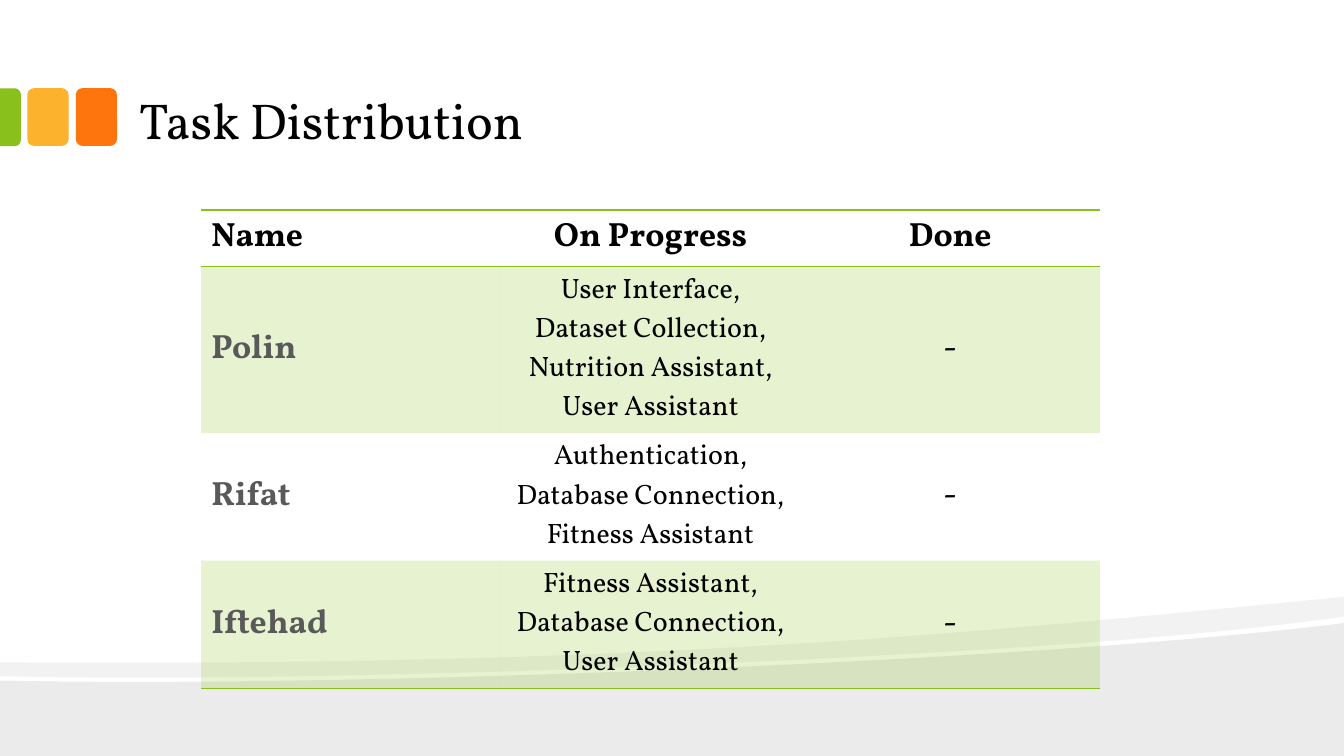
from typing import NamedTuple

import pptx
import pptx.dml.color
import pptx.enum.shapes
import pptx.enum.text
import pptx.oxml
import pptx.oxml.ns
import pptx.util
from lxml import etree

Cm, Pt = pptx.util.Cm, pptx.util.Pt
RGBColor = pptx.dml.color.RGBColor
MSO_SHAPE = pptx.enum.shapes.MSO_SHAPE
PP_ALIGN = pptx.enum.text.PP_ALIGN
MSO_ANCHOR = pptx.enum.text.MSO_ANCHOR
qn = pptx.oxml.ns.qn

FONT = "Vollkorn"
BLACK = RGBColor(0x00, 0x00, 0x00)
GRAY = RGBColor(0x59, 0x59, 0x59)
GREEN = RGBColor(0x89, 0xC0, 0x1C)
YELLOW = RGBColor(0xFC, 0xB2, 0x2C)
ORANGE = RGBColor(0xFE, 0x75, 0x0E)
NO_GRID_STYLE = "{2D5ABB26-0587-4C30-8999-92F81FD0307C}"

Point = tuple[float, float]


class Wave(NamedTuple):
    start: Point
    segments: list[list[Point]]  # one point for a line, three for a Bezier curve
    opacity: int


class Tile(NamedTuple):
    kind: int
    left: float
    top: float
    width: float
    height: float
    color: RGBColor
    rotation: int = 0


class Member(NamedTuple):
    name: str
    in_progress: list[str]
    done: str
    height: float


WAVES = [
    Wave((33.87, 15.7),
         [[(33.87, 19.05)], [(0, 19.05)], [(0, 17.15)],
          [(8.94, 17.35), (26.47, 16.64), (33.87, 15.7)]], 8),
    Wave((33.87, 15.04),
         [[(33.87, 15.54)],
          [(31.88, 15.82), (29.18, 16.08), (26.14, 16.28)],
          [(17.73, 16.84), (6.55, 17.2), (0, 17.04)],
          [(0, 16.69)],
          [(16.56, 16.81), (24.66, 15.93), (33.87, 15.04)]], 5),
]
TILES = [
    Tile(MSO_SHAPE.ROUNDED_RECTANGLE, 1.91, 2.22, 1.04, 1.46, ORANGE),
    Tile(MSO_SHAPE.ROUNDED_RECTANGLE, 0.69, 2.22, 1.04, 1.46, YELLOW),
    Tile(MSO_SHAPE.ROUND_2_SAME_RECTANGLE, -0.47, 2.69, 1.46, 0.53, GREEN, 90),
]
HEADINGS = ["Name", "On Progress", "Done"]
HEADING_HEIGHT = 1.42
MEMBERS = [
    Member("Polin", ["User Interface,", "Dataset Collection,",
                     "Nutrition Assistant,", "User Assistant"], "-", 4.2),
    Member("Rifat", ["Authentication,", "Database Connection,", "Fitness Assistant"], "-", 3.22),
    Member("Iftehad", ["Fitness Assistant,", "Database Connection,", "User Assistant"], "-", 3.22),
]


def fill_solid(fill, color: RGBColor, opacity: int = 100) -> None:
    fill.solid()
    fill.fore_color.rgb = color
    if opacity < 100:
        clr = fill._xPr.find(qn("a:solidFill"))[0]
        etree.SubElement(clr, qn("a:alpha"), val=str(opacity * 1000))


def write(tf, text: str, *, size: float, color: RGBColor = BLACK, bold: bool = False,
          align: PP_ALIGN = PP_ALIGN.LEFT) -> None:
    for i, line in enumerate(text.split("\n")):
        p = tf.paragraphs[0] if i == 0 else tf.add_paragraph()
        p.alignment = align
        r = p.add_run()
        r.text = line
        r.font.name, r.font.size, r.font.bold = FONT, Pt(size), bold
        r.font.color.rgb = color


def draw_wave(s, wave: Wave) -> None:
    x, y = wave.start
    builder = s.shapes.build_freeform(Cm(x), Cm(y))
    builder.add_line_segments([(Cm(x), Cm(y)) for seg in wave.segments for x, y in seg])
    sp = builder.convert_to_shape()

    # Join each three points of a curve into one Bezier segment
    lines = iter(list(sp._element.iter(qn("a:lnTo"))))
    for seg in wave.segments:
        parts = [next(lines) for _ in seg]
        if len(parts) == 3:
            bezier = etree.Element(qn("a:cubicBezTo"))
            parts[0].addprevious(bezier)
            for part in parts:
                bezier.append(part[0])
                part.getparent().remove(part)

    sp.shadow.inherit = False
    sp.line.fill.background()
    fill_solid(sp.fill, BLACK, wave.opacity)


def draw_tile(s, tile: Tile) -> None:
    sp = s.shapes.add_shape(tile.kind, Cm(tile.left), Cm(tile.top), Cm(tile.width), Cm(tile.height))
    sp.rotation = tile.rotation
    if tile.rotation:
        sp.adjustments[0] = 0.29
    sp.shadow.inherit = False
    sp.line.fill.background()
    fill_solid(sp.fill, tile.color)


def set_borders(cell, ruled: str) -> None:
    """Rule the sides named in ruled (letters of LRTB) and clear the others."""
    tcPr = cell._tc.get_or_add_tcPr()
    for i, side in enumerate("LRTB"):
        ln = etree.Element(qn(f"a:ln{side}"), w=str(Pt(1)))
        if side in ruled:
            solid = etree.SubElement(ln, qn("a:solidFill"))
            etree.SubElement(solid, qn("a:srgbClr"), val=str(GREEN))
        else:
            etree.SubElement(ln, qn("a:noFill"))
        tcPr.insert(i, ln)


def draw_table(s) -> None:
    rows = len(MEMBERS) + 1
    heights = [HEADING_HEIGHT] + [m.height for m in MEMBERS]
    texts = [HEADINGS] + [[m.name, "\n".join(m.in_progress), m.done] for m in MEMBERS]
    table = s.shapes.add_table(rows, len(HEADINGS), Cm(5.07), Cm(5.29),
                               Cm(22.65), Cm(sum(heights))).table
    table.first_row = table.horz_banding = False
    table._tbl.tblPr.find(qn("a:tableStyleId")).text = NO_GRID_STYLE
    for column in table.columns:
        column.width = Cm(7.55)
    for i, (height, line) in enumerate(zip(heights, texts)):
        table.rows[i].height = Cm(height)
        for j, text in enumerate(line):
            cell = table.cell(i, j)
            cell.vertical_anchor = MSO_ANCHOR.MIDDLE
            if i % 2:
                fill_solid(cell.fill, GREEN, 20)
            else:
                cell.fill.background()
            set_borders(cell, {0: "TB", 1: "T", rows - 1: "B"}.get(i, ""))
            write(cell.text_frame, text,
                  size=20 if i and j == 1 else 24,
                  color=GRAY if i and j == 0 else BLACK,
                  bold=i == 0 or j == 0,
                  align=PP_ALIGN.CENTER if j else PP_ALIGN.LEFT)


def main() -> None:
    prs = pptx.Presentation()
    prs.slide_width, prs.slide_height = Cm(33.87), Cm(19.05)
    s = prs.slides.add_slide(prs.slide_layouts[6])

    # Background waves and colour tiles
    for wave in WAVES:
        draw_wave(s, wave)
    for tile in TILES:
        draw_tile(s, tile)

    # Title
    tf = s.shapes.add_textbox(Cm(3.18), Cm(0.43), Cm(27.08), Cm(3.61)).text_frame
    tf.word_wrap = True
    tf.vertical_anchor = MSO_ANCHOR.TOP
    tf.margin_left = tf.margin_right = Cm(0.33)
    tf.margin_top, tf.margin_bottom = Cm(2.11), Cm(0)
    write(tf, "Task Distribution", size=36)

    # Task table
    draw_table(s)

    prs.save("out.pptx")


if __name__ == "__main__":
    main()
